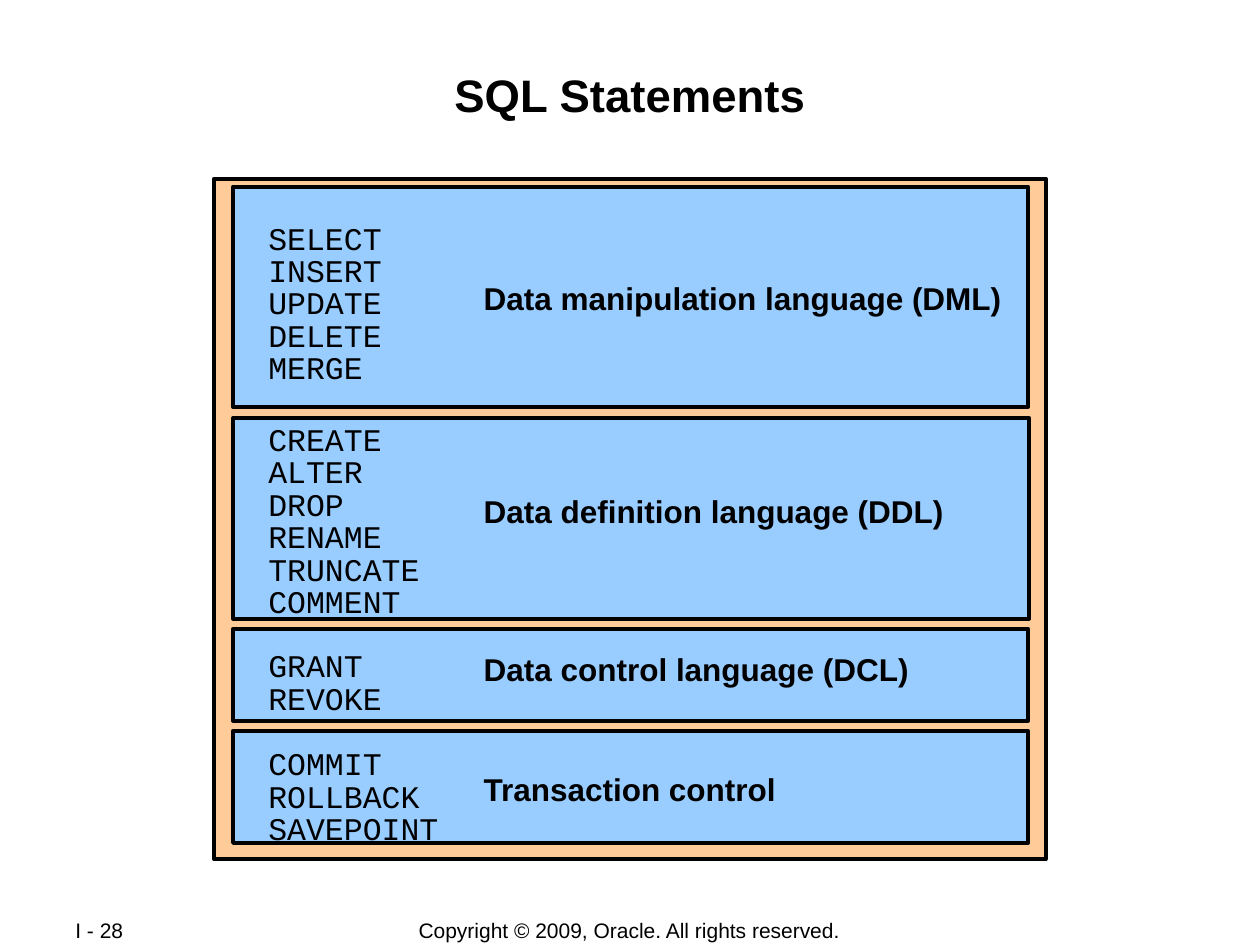
from dataclasses import dataclass

from pptx import Presentation
from pptx.dml.color import RGBColor
from pptx.enum import shapes, text
from pptx.util import Pt


@dataclass(frozen=True)
class Theme:
    ink: RGBColor = RGBColor(0x00, 0x00, 0x00)
    frame: RGBColor = RGBColor(0xFF, 0xCC, 0x99)
    band: RGBColor = RGBColor(0x99, 0xCC, 0xFF)
    sans: str = "Arial"
    mono: str = "Courier New"
    title: float = 26
    body: float = 18
    footer: float = 12
    outline: float = 2.25
    line_pitch: float = 18.5


@dataclass(frozen=True)
class Box:
    left: float
    top: float
    width: float
    height: float

    def lengths(self) -> list:
        return [Pt(v) for v in (self.left, self.top, self.width, self.height)]


@dataclass(frozen=True)
class Category:
    label: str
    label_top: float
    label_width: float
    band: Box
    gap_before: float
    statements: tuple[str, ...]


THEME = Theme()
LABEL_LEFT = 269.3
CATEGORIES = (
    Category("Data manipulation language (DML)", 156.2, 310.3,
             Box(133.2, 106.6, 454.3, 126), 0,
             ("SELECT", "INSERT", "UPDATE", "DELETE", "MERGE")),
    Category("Data definition language (DDL)", 277.9, 277.9,
             Box(133.2, 239, 455, 114.5), 22.6,
             ("CREATE", "ALTER", "DROP", "RENAME", "TRUNCATE", "COMMENT")),
    Category("Data control language (DCL)", 367.9, 257.8,
             Box(133.2, 359.3, 454.3, 52.6), 18.1,
             ("GRANT", "REVOKE")),
    Category("Transaction control", 436.3, 182.9,
             Box(133.2, 417.6, 454.3, 64.1), 19.2,
             ("COMMIT", "ROLLBACK", "SAVEPOINT")),
)


def add_panel(slide, box: Box, fill: RGBColor) -> None:
    """Draw an outlined rectangle."""
    panel = slide.shapes.add_shape(shapes.MSO_SHAPE.RECTANGLE, *box.lengths())
    panel.shadow.inherit = False
    panel.fill.solid()
    panel.fill.fore_color.rgb = fill
    panel.line.color.rgb = THEME.ink
    panel.line.width = Pt(THEME.outline)


def add_frame(slide, box: Box, inset_top: float = 3.6, wrap: bool = True):
    """Add an empty text box and return its text frame."""
    frame = slide.shapes.add_textbox(*box.lengths()).text_frame
    frame.word_wrap = wrap
    frame.margin_top = Pt(inset_top)
    return frame


def add_run(paragraph, words: str, size: float, font: str = THEME.sans,
            bold: bool = False) -> None:
    """Append a styled run to a paragraph."""
    run = paragraph.add_run()
    run.text = words
    run.font.name = font
    run.font.size = Pt(size)
    run.font.bold = bold
    run.font.color.rgb = THEME.ink


def add_footer(slide, box: Box, words: str, align: text.PP_ALIGN) -> None:
    """Add one footer line."""
    frame = add_frame(slide, box)
    frame.vertical_anchor = text.MSO_ANCHOR.MIDDLE
    frame.paragraphs[0].alignment = align
    add_run(frame.paragraphs[0], words, THEME.footer)


def add_title(slide, words: str) -> None:
    """Add the centred heading."""
    frame = add_frame(slide, Box(48.2, 34.6, 623.5, 69.1), inset_top=3.8)
    frame.paragraphs[0].alignment = text.PP_ALIGN.CENTER
    add_run(frame.paragraphs[0], words, THEME.title, bold=True)


def add_statements(slide) -> None:
    """List every statement, with a gap ahead of each category."""
    frame = add_frame(slide, Box(146.2, 108, 431.3, 398.2), inset_top=20)
    paragraph = frame.paragraphs[0]
    for category in CATEGORIES:
        for index, statement in enumerate(category.statements):
            if paragraph.runs:
                paragraph = frame.add_paragraph()
            paragraph.line_spacing = Pt(THEME.line_pitch)
            if index == 0 and category.gap_before:
                paragraph.space_before = Pt(category.gap_before)
            add_run(paragraph, statement, THEME.body, THEME.mono)


def add_label(slide, category: Category) -> None:
    """Name a category beside its statements."""
    box = Box(LABEL_LEFT, category.label_top, category.label_width, 28.8)
    frame = add_frame(slide, box, wrap=False)
    frame.auto_size = text.MSO_AUTO_SIZE.SHAPE_TO_FIT_TEXT
    add_run(frame.paragraphs[0], category.label, THEME.body, bold=True)


def main() -> None:
    """Build and save the slide."""
    deck = Presentation()
    deck.slide_width, deck.slide_height = Pt(720), Pt(540)
    slide = deck.slides.add_slide(deck.slide_layouts[6])
    add_footer(slide, Box(198, 524.2, 323.3, 15.1),
               "Copyright © 2009, Oracle. All rights reserved.",
               text.PP_ALIGN.CENTER)
    add_footer(slide, Box(36, 524.2, 76.3, 14.4), "I - 28", text.PP_ALIGN.LEFT)
    add_panel(slide, Box(122.4, 102.2, 475.2, 388.8), THEME.frame)
    for category in CATEGORIES:
        add_panel(slide, category.band, THEME.band)
    add_title(slide, "SQL Statements")
    add_statements(slide)
    for category in CATEGORIES:
        add_label(slide, category)
    deck.save("out.pptx")


if __name__ == "__main__":
    main()
